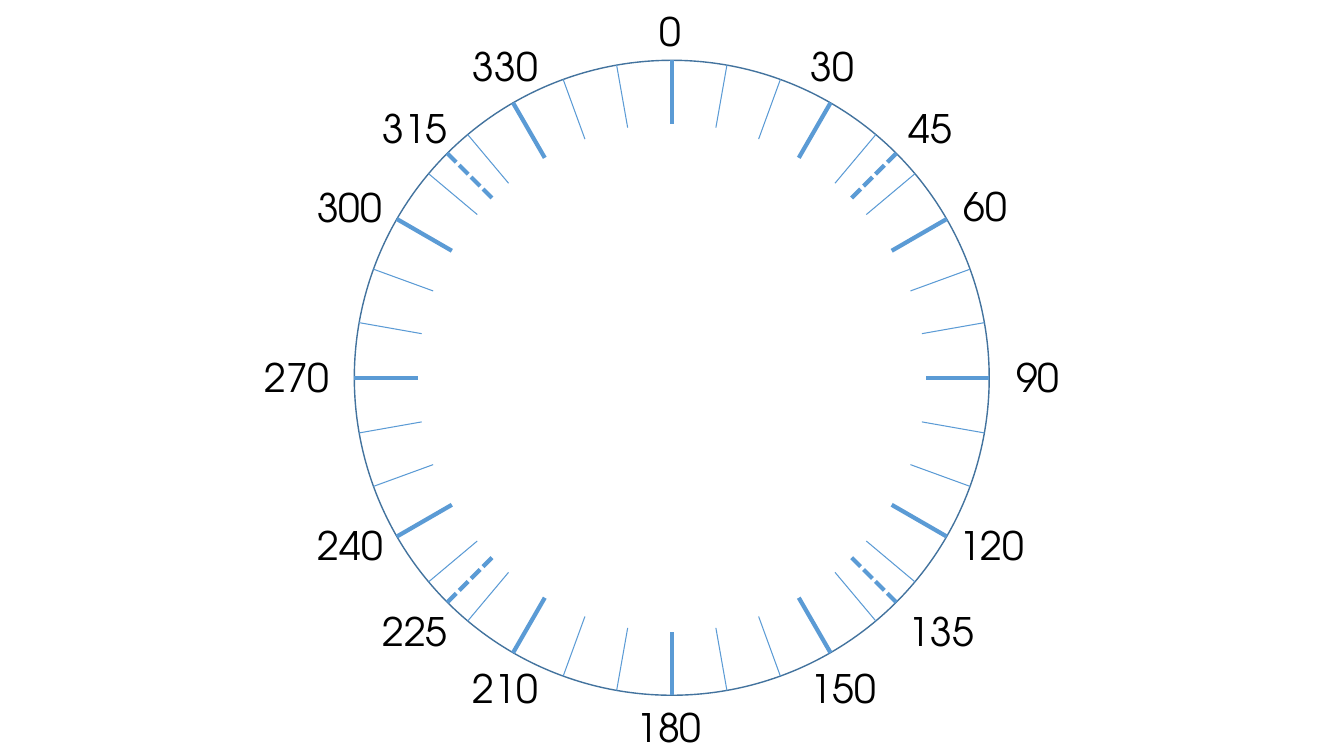
from math import cos, radians, sin

from pptx import Presentation
from pptx.dml.color import RGBColor
from pptx.enum.dml import MSO_LINE
from pptx.enum.shapes import MSO_CONNECTOR, MSO_SHAPE
from pptx.enum.text import MSO_AUTO_SIZE, PP_ALIGN
from pptx.oxml.ns import qn
from pptx.util import Cm, Pt

FONT = "TeX Gyre Adventor"
RIM, TICK, INK = "43739E", "5B9BD5", "000000"
DIAL_BOX = (8.93, 1.52, 16)  # left, top, diameter in cm
TICK_LENGTH = 1.6

# Left and top of each degree label in cm, from the corner of the dial box
LABELS = {
    0: (7.44, -1.47), 30: (11.25, -0.58), 45: (13.72, 0.99), 60: (15.11, 2.95),
    90: (16.43, 7.26), 120: (14.99, 11.48), 135: (13.72, 13.67), 150: (11.25, 15.09),
    180: (6.86, 16.08), 210: (2.74, 15.09), 225: (0.46, 13.67), 240: (-1.17, 11.5),
    270: (-2.51, 7.26), 300: (-1.19, 2.97), 315: (0.46, 0.99), 330: (2.74, -0.58),
}


def color(hex_code):
    return RGBColor.from_string(hex_code)


def add_tick(shapes, center_x, center_y, radius, angle):
    """Draw one mark from the rim towards the centre, clockwise from the top."""
    across, up = sin(radians(angle)), cos(radians(angle))
    inner = radius - TICK_LENGTH
    tick = shapes.add_connector(
        MSO_CONNECTOR.STRAIGHT,
        Cm(center_x + radius * across), Cm(center_y - radius * up),
        Cm(center_x + inner * across), Cm(center_y - inner * up))
    tick.line.color.rgb = color(TICK)
    tick.line.width = Pt(3 if angle % 15 == 0 else 0.75)
    if angle % 30 == 15:
        tick.line.dash_style = MSO_LINE.SQUARE_DOT
    properties = tick._element.spPr
    properties.append(properties.makeelement(qn("a:effectLst"), {}))


def add_dial(page, left, top, diameter):
    radius = diameter / 2
    shapes = page.shapes.add_group_shape().shapes

    # Rim
    rim = shapes.add_shape(MSO_SHAPE.OVAL, Cm(left), Cm(top), Cm(diameter), Cm(diameter))
    rim.shadow.inherit = False
    rim.fill.background()
    rim.line.color.rgb = color(RIM)
    rim.line.width = Pt(1)

    # Marks every 10 degrees, plus dashed diagonals
    for angle in [*range(0, 360, 10), *range(45, 360, 90)]:
        add_tick(shapes, left + radius, top + radius, radius, angle)


def add_labels(page, left, top):
    for angle, (offset_x, offset_y) in LABELS.items():
        text = str(angle)
        width = 0.53 + 0.59 * len(text)
        box = page.shapes.add_textbox(
            Cm(left + offset_x), Cm(top + offset_y), Cm(width), Cm(1.45))
        frame = box.text_frame
        frame.word_wrap = False
        frame.auto_size = MSO_AUTO_SIZE.SHAPE_TO_FIT_TEXT
        frame.text = text
        para = frame.paragraphs[0]
        para.alignment = PP_ALIGN.LEFT
        font = para.runs[0].font
        font.name, font.size = FONT, Pt(28)
        font.color.rgb = color(INK)


deck = Presentation()
deck.slide_width, deck.slide_height = Cm(33.87), Cm(19.05)
page = deck.slides.add_slide(deck.slide_layouts[6])
add_dial(page, *DIAL_BOX)
add_labels(page, *DIAL_BOX[:2])
deck.save("out.pptx")
